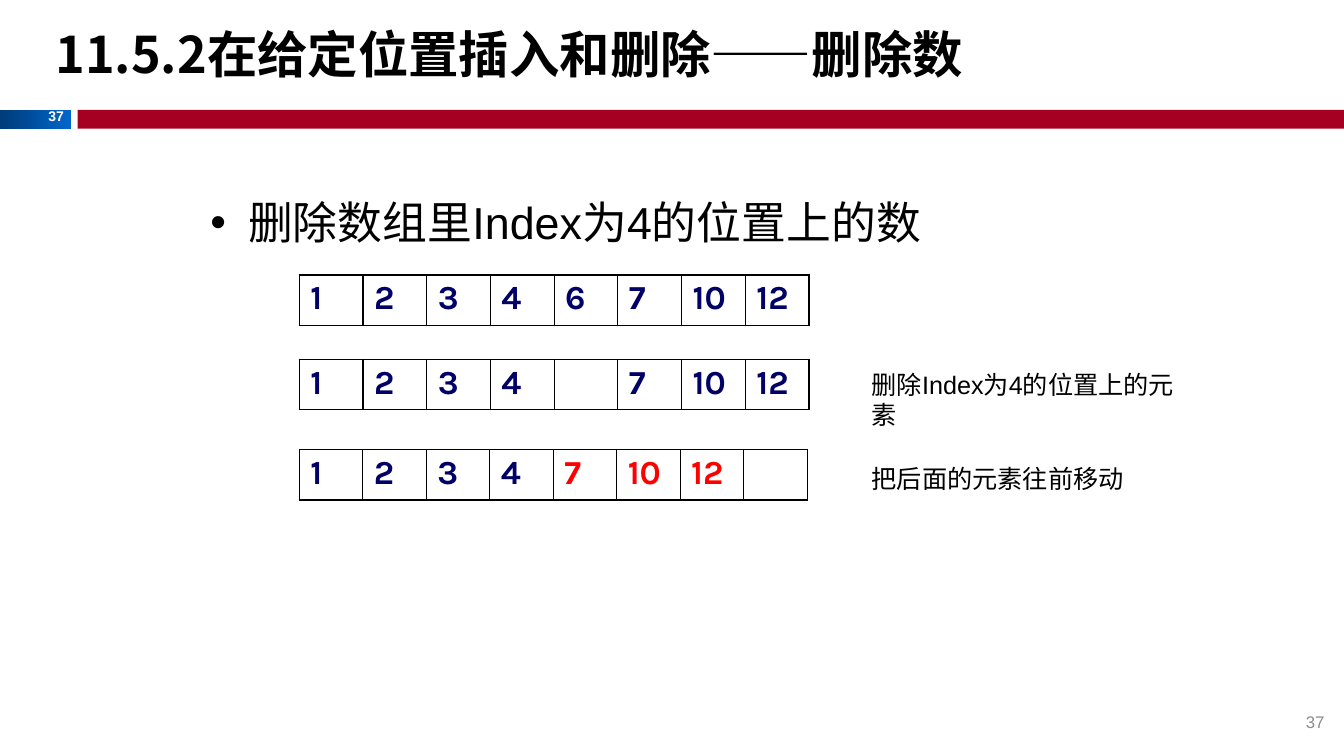
from dataclasses import dataclass

from lxml import etree
from pptx import Presentation
from pptx.dml.color import RGBColor
from pptx.enum.shapes import MSO_SHAPE
from pptx.enum.text import MSO_ANCHOR, MSO_AUTO_SIZE, PP_ALIGN
from pptx.oxml.ns import qn
from pptx.util import Cm, Pt

RECT = MSO_SHAPE.RECTANGLE
LEFT, RIGHT = PP_ALIGN.LEFT, PP_ALIGN.RIGHT
TOP, MIDDLE = MSO_ANCHOR.TOP, MSO_ANCHOR.MIDDLE
NO_AUTOFIT = MSO_AUTO_SIZE.NONE


@dataclass(frozen=True)
class Theme:
    latin: str = "Arial"
    cjk: str = "Noto Sans CJK SC"
    digits: str = "Karla"
    black: str = "000000"
    white: str = "FFFFFF"
    grey: str = "8C8C8C"
    band: str = "A50021"
    tab_from: str = "003C79"
    tab_to: str = "0066CC"
    value: str = "000066"
    moved: str = "FF0000"
    title_pt: int = 36
    body_pt: int = 32
    cell_pt: int = 24
    note_pt: int = 18
    page_pt: int = 12
    tab_pt: int = 10


def space_before_percent(p, percent):
    """Set the space before a paragraph relative to its line height."""
    p.space_before = Pt(0)
    spc = p._p.pPr.find(qn("a:spcBef"))
    spc.remove(spc[0])
    etree.SubElement(spc, qn("a:spcPct"), val=str(percent * 1000))


class SlideBuilder:
    def __init__(self, prs, theme):
        self.theme = theme
        self.s = prs.slides.add_slide(prs.slide_layouts[1])

    def style(self, p, size, color=None, font=None, bold=False):
        for r in p.runs:
            r.font.size = Pt(size)
            r.font.bold = bold
            r.font.name = font or self.theme.latin
            r.font.color.rgb = RGBColor.from_string(color or self.theme.black)
            ea = etree.SubElement(r._r.rPr, qn("a:ea"))
            ea.set("typeface", self.theme.cjk)

    def place(self, sp, box):
        sp.left, sp.top, sp.width, sp.height = map(Cm, box)

    def title(self, text, box):
        sp = self.s.shapes.title
        self.place(sp, box)
        tf = sp.text_frame
        tf.text = text
        tf.auto_size = NO_AUTOFIT
        tf.vertical_anchor = MIDDLE
        p = tf.paragraphs[0]
        p.alignment = LEFT
        self.style(p, self.theme.title_pt, font=self.theme.cjk, bold=True)

    def bullets(self, items, box):
        sp = self.s.placeholders[1]
        self.place(sp, box)
        tf = sp.text_frame
        tf.text = "\n".join(items)
        tf.auto_size = NO_AUTOFIT
        for p in tf.paragraphs:
            space_before_percent(p, 20)
            pPr = p._p.pPr
            pPr.set("marL", str(Cm(0.95)))
            pPr.set("indent", str(-Cm(0.95)))
            etree.SubElement(pPr, qn("a:buFont"), typeface=self.theme.latin)
            etree.SubElement(pPr, qn("a:buChar"), char="•")
            self.style(p, self.theme.body_pt)

    def bar(self, box, *colors):
        sp = self.s.shapes.add_shape(RECT, *map(Cm, box))
        sp.shadow.inherit = False
        sp.line.fill.background()
        if len(colors) == 1:
            sp.fill.solid()
            sp.fill.fore_color.rgb = RGBColor.from_string(colors[0])
            return
        sp.fill.gradient()
        sp.fill.gradient_angle = 0
        for stop, color in zip(sp.fill.gradient_stops, colors):
            stop.color.rgb = RGBColor.from_string(color)

    def text(self, text, box, size, color=None, bold=False, align=LEFT, anchor=TOP):
        tf = self.s.shapes.add_textbox(*map(Cm, box)).text_frame
        tf.word_wrap = True
        tf.vertical_anchor = anchor
        tf.text = text
        p = tf.paragraphs[0]
        p.alignment = align
        self.style(p, size, color, bold=bold)

    def borders(self, cell):
        tcPr = cell._tc.get_or_add_tcPr()
        for i, side in enumerate(("lnL", "lnR", "lnT", "lnB")):
            ln = etree.Element(qn(f"a:{side}"), w=str(Pt(1)))
            fill = etree.SubElement(ln, qn("a:solidFill"))
            etree.SubElement(fill, qn("a:srgbClr"), val=self.theme.black)
            tcPr.insert(i, ln)

    def array(self, values, box, moved=()):
        """Draw one array as a single-row table; moved indexes stand out."""
        frame = self.s.shapes.add_table(1, len(values), *map(Cm, box))
        table = frame.table
        table.first_row = table.horz_banding = False
        for i, value in enumerate(values):
            table.columns[i].width = Cm(box[2] / len(values))
            cell = table.cell(0, i)
            cell.fill.background()
            self.borders(cell)
            cell.margin_left = cell.margin_right = Cm(0.28)
            cell.margin_top = cell.margin_bottom = Cm(0.13)
            cell.text = value
            p = cell.text_frame.paragraphs[0]
            p.line_spacing = 0.95
            space_before_percent(p, 20)
            color = self.theme.moved if i in moved else self.theme.value
            self.style(p, self.theme.cell_pt, color, self.theme.digits, bold=True)


def main():
    prs = Presentation()
    prs.slide_width, prs.slide_height = Cm(33.87), Cm(19.05)
    theme = Theme()
    page = SlideBuilder(prs, theme)

    # Header band with page tab
    page.bar((0, 2.77, 1.8, 0.47), theme.tab_from, theme.tab_to)
    page.bar((1.96, 2.77, 31.91, 0.47), theme.band)
    page.text("37", (0.89, 2.59, 0.97, 0.69), theme.tab_pt, theme.white,
              bold=True, align=RIGHT)

    # Title and task
    page.title("11.5.2在给定位置插入和删除——删除数", (1.14, 0.41, 24.87, 1.88))
    page.bullets(["删除数组里Index为4的位置上的数"], (5.05, 4.78, 23.72, 12.09))

    # Array before, during and after the deletion
    start = ["1", "2", "3", "4", "6", "7", "10", "12"]
    index = 4
    removed = start[:index] + [""] + start[index + 1:]
    shifted = start[:index] + start[index + 1:] + [""]
    page.array(start, (7.54, 6.93, 12.85, 1.27))
    page.array(removed, (7.54, 9.05, 12.85, 1.27))
    page.array(shifted, (7.54, 11.33, 12.8, 1.27), moved=range(index, len(start)))

    # Notes beside the steps
    for text, top in (("删除Index为4的位置上的元素", 9.17),
                      ("把后面的元素往前移动", 11.56)):
        page.text(text, (21.72, top, 8.6, 1.02), theme.note_pt)

    # Page number
    page.text("37", (26.01, 17.68, 7.62, 1.02), theme.page_pt, theme.grey,
              align=RIGHT, anchor=MIDDLE)

    prs.save("out.pptx")


if __name__ == "__main__":
    main()
